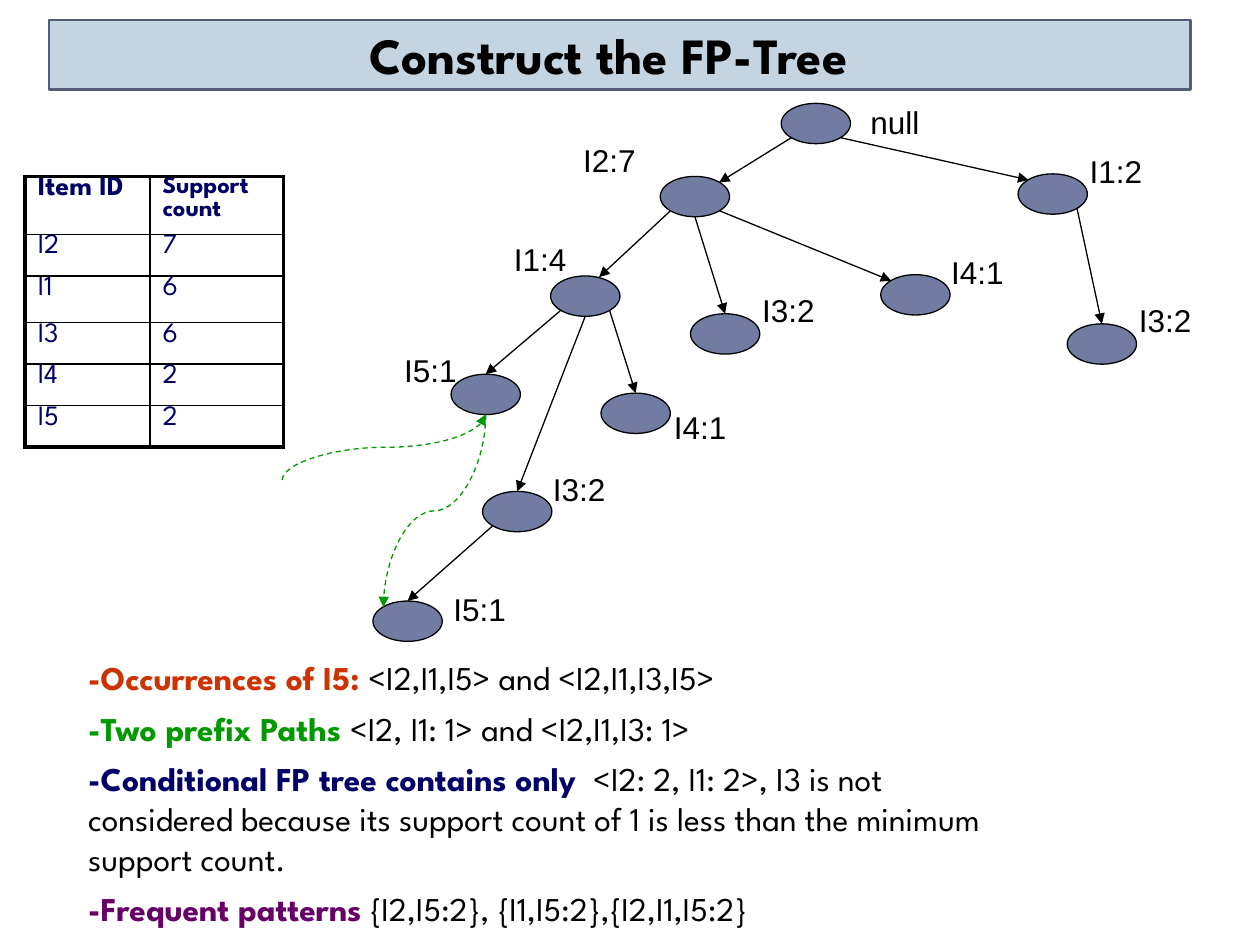
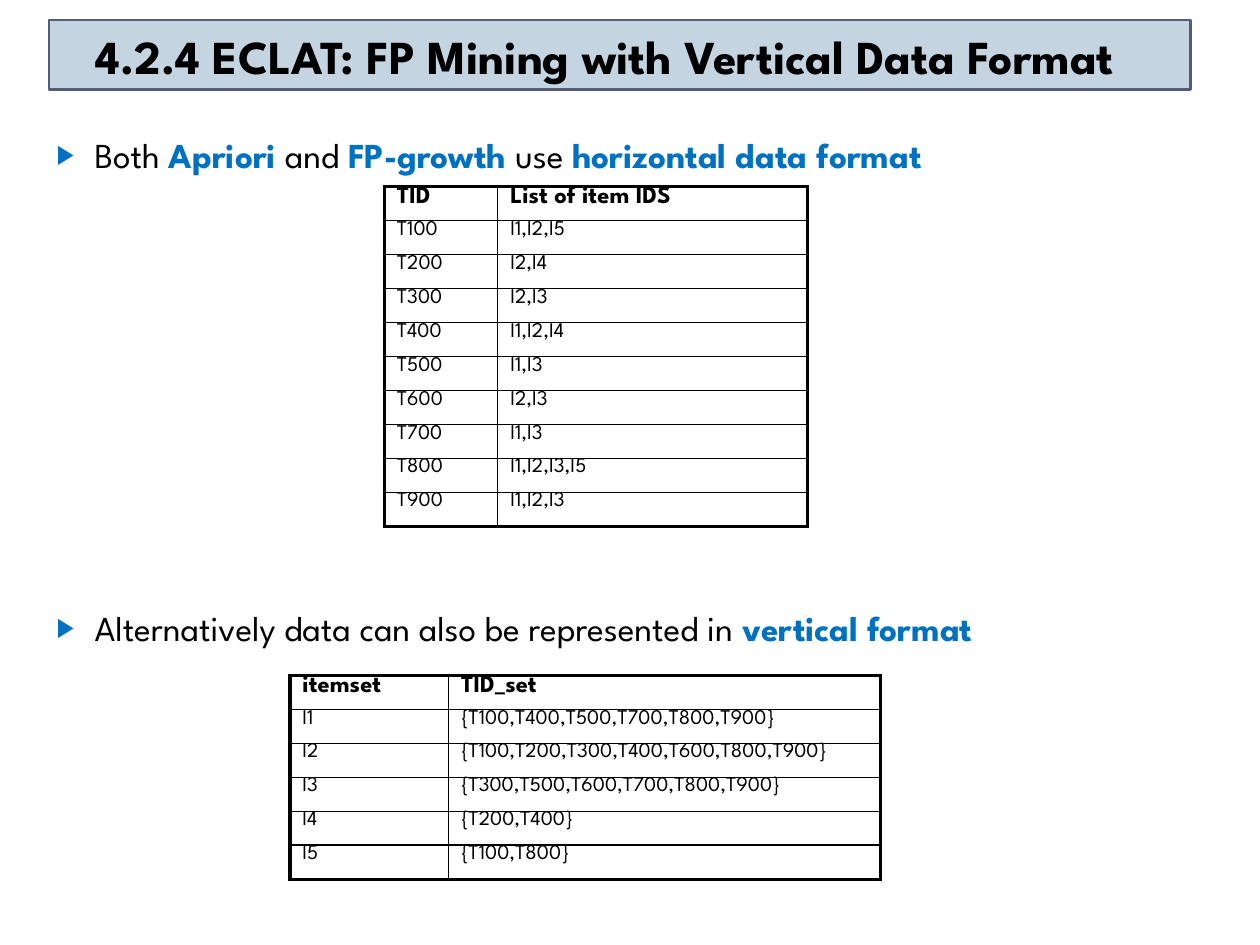
from lxml.etree import SubElement
from pptx import Presentation
from pptx.dml.color import RGBColor
from pptx.enum.dml import MSO_LINE
from pptx.enum.shapes import MSO_CONNECTOR, MSO_SHAPE
from pptx.enum.text import MSO_ANCHOR, MSO_AUTO_SIZE, PP_ALIGN
from pptx.oxml.ns import qn
from pptx.util import Inches, Pt

COLORS = {"black": "000000", "band": "C5D4E1", "band line": "545C79", "node": "727CA3",
          "red": "CC3300", "green": "009900", "navy": "000066", "purple": "660066",
          "blue": "0070C0"}
HEADING_FONT, LABEL_FONT = "League Spartan", "Arial"
BAND = (0.39, 0.16, 9.06, 0.55)
NODE_WIDTH, NODE_HEIGHT = 0.55, 0.32

TREE_TITLE = ("Construct the FP-Tree", (0.33, 0.21, 9, 0.51), 29)
FORMAT_TITLE = ("4.2.4 ECLAT: FP Mining with Vertical Data Format", (0.11, 0.17, 9.38, 0.55), 27)

TREE_NOTES = [
    [("-Occurrences of I5: ", "red"), ("<I2,I1,I5> and <I2,I1,I3,I5>", None)],
    [("-Two prefix Paths ", "green"), ("<I2, I1: 1> and <I2,I1,I3: 1>", None)],
    [("-Conditional FP tree contains only ", "navy"),
     (" <I2: 2, I1: 2>, I3 is not considered because its support count of 1 "
      "is less than the minimum support count.", None)],
    [("-Frequent patterns", "purple"), (" {I2,I5:2}, {I1,I5:2},{I2,I1,I5:2}", None)],
]
FORMAT_NOTES = [
    [("Both ", None), ("Apriori", "blue"), (" and ", None), ("FP-growth", "blue"),
     (" use ", None), ("horizontal data format", "blue")],
    [("Alternatively data can also be represented in ", None), ("vertical format", "blue")],
]

SUPPORT_TABLE = {
    "place": (0.2, 1.4), "columns": (0.99, 1.06), "color": "navy",
    "heights": (0.46, 0.33, 0.37, 0.33, 0.33, 0.33), "header sizes": (16, 14), "size": 16,
    "rows": [("Item ID", "Support count"), ("I2", "7"), ("I1", "6"), ("I3", "6"),
             ("I4", "2"), ("I5", "2")]}
HORIZONTAL_TABLE = {
    "place": (3.05, 1.48), "columns": (0.9, 2.46), "color": "black",
    "heights": (0.27,) * 10, "header sizes": (14, 14), "size": 12,
    "rows": [("TID", "List of item IDS"), ("T100", "I1,I2,I5"), ("T200", "I2,I4"),
             ("T300", "I2,I3"), ("T400", "I1,I2,I4"), ("T500", "I1,I3"), ("T600", "I2,I3"),
             ("T700", "I1,I3"), ("T800", "I1,I2,I3,I5"), ("T900", "I1,I2,I3")]}
VERTICAL_TABLE = {
    "place": (2.3, 5.36), "columns": (1.26, 3.43), "color": "black",
    "heights": (0.27,) * 6, "header sizes": (14, 14), "size": 12,
    "rows": [("itemset", "TID_set"), ("I1", "{T100,T400,T500,T700,T800,T900}"),
             ("I2", "{T100,T200,T300,T400,T600,T800,T900}"),
             ("I3", "{T300,T500,T600,T700,T800,T900}"),
             ("I4", "{T200,T400}"), ("I5", "{T100,T800}")]}

NODES = {
    "root": ((6.2, 0.82), "null", (6.81, 0.77)),
    "I2": ((5.24, 1.4), "I2:7", (4.53, 1.07)),
    "I2 I1": ((4.37, 2.19), "I1:4", (3.98, 1.86)),
    "I2 I1 I5": ((3.58, 2.97), "I5:1", (3.11, 2.74)),
    "I2 I4": ((6.99, 2.18), "I4:1", (7.45, 1.96)),
    "I2 I3": ((5.48, 2.49), "I3:2", (5.95, 2.26)),
    "I2 I1 I4": ((4.77, 3.12), "I4:1", (5.25, 3.19)),
    "I1": ((8.08, 1.38), "I1:2", (8.55, 1.16)),
    "I1 I3": ((8.47, 2.57), "I3:2", (8.94, 2.34)),
    "I2 I1 I3": ((3.83, 3.9), "I3:2", (4.29, 3.68)),
    "I2 I1 I3 I5": ((2.96, 4.77), "I5:1", (3.5, 4.63)),
}
SITES = {"top": (0.5, 0), "top inner right": (0.7, 0.03), "top right": (0.85, 0.15),
         "top left": (0.15, 0.15), "bottom": (0.5, 1), "bottom left": (0.15, 0.85),
         "bottom right": (0.85, 0.85)}
EDGES = [
    ("root", "bottom left", "I2", "top right"),
    ("root", "bottom right", "I1", "top left"),
    ("I2", "bottom left", "I2 I1", "top inner right"),
    ("I2", "bottom", "I2 I3", "top"),
    ("I2", "bottom right", "I2 I4", "top left"),
    ("I1", "bottom right", "I1 I3", "top"),
    ("I2 I1", "bottom left", "I2 I1 I5", "top"),
    ("I2 I1", "bottom", "I2 I1 I3", "top"),
    ("I2 I1", "bottom right", "I2 I1 I4", "top"),
    ("I2 I1 I3", "bottom left", "I2 I1 I3 I5", "top"),
]
HEADER_LINK_START = (2.24, 3.81)


def inches(values):
    return [Inches(value) for value in values]


def color(name):
    return RGBColor.from_string(COLORS[name])


def apply_format(target, values):
    for name, value in values.items():
        setattr(target, name, value)


def add_run(paragraph, text, size, color_name="black", bold=False, font=HEADING_FONT):
    run = paragraph.add_run()
    run.text = text
    apply_format(run.font, {"name": font, "size": Pt(size), "bold": bold})
    run.font.color.rgb = color(color_name)


def style_shape(shape, fill, line, width):
    shape.shadow.inherit = False
    shape.fill.solid()
    shape.fill.fore_color.rgb = color(fill)
    shape.line.color.rgb = color(line)
    shape.line.width = Pt(width)


def place(shape, box):
    apply_format(shape, dict(zip(("left", "top", "width", "height"), inches(box))))


def add_band(layout, slide):
    band = slide.shapes.add_shape(MSO_SHAPE.RECTANGLE, *inches(BAND))
    style_shape(band, "band", "band line", 1.5)
    layout.shapes._spTree.insert(2, band._element)


def fill_title(slide, text, box, size):
    title = slide.shapes.title
    place(title, box)
    apply_format(title.text_frame, {"vertical_anchor": MSO_ANCHOR.BOTTOM, "word_wrap": True,
                                    "auto_size": MSO_AUTO_SIZE.NONE})
    paragraph = title.text_frame.paragraphs[0]
    paragraph.alignment = PP_ALIGN.CENTER
    add_run(paragraph, text, size, bold=True)


def fill_body(slide, notes, box, size, margin, gaps, bulleted):
    body = slide.placeholders[1]
    place(body, box)
    frame = body.text_frame
    apply_format(frame, {"vertical_anchor": MSO_ANCHOR.TOP, "word_wrap": True,
                         "auto_size": MSO_AUTO_SIZE.NONE})
    for index, (pieces, gap) in enumerate(zip(notes, gaps)):
        paragraph = frame.add_paragraph() if index else frame.paragraphs[0]
        apply_format(paragraph, {"space_before": Pt(gap), "space_after": Pt(0)})
        properties = paragraph._p.get_or_add_pPr()
        properties.set("marL", str(Inches(margin)))
        properties.set("indent", str(-Inches(margin) if bulleted else 0))
        if bulleted:
            bullet_color = SubElement(properties, qn("a:buClr"))
            SubElement(bullet_color, qn("a:srgbClr"), val=COLORS["blue"])
            SubElement(properties, qn("a:buSzPct"), val="76000")
            SubElement(properties, qn("a:buChar"), char="▶")
        else:
            SubElement(properties, qn("a:buNone"))
        for text, accent in pieces:
            add_run(paragraph, text, size, accent or "black", bool(accent))


def set_borders(cell, outer_sides):
    properties = cell._tc.get_or_add_tcPr()
    for index, side in enumerate(("lnL", "lnR", "lnT", "lnB")):
        width = Pt(2.25 if side in outer_sides else 1)
        border = SubElement(properties, qn("a:" + side), w=str(width))
        fill = SubElement(border, qn("a:solidFill"))
        SubElement(fill, qn("a:srgbClr"), val=COLORS["black"])
        properties.insert(index, border)


def add_data_table(slide, data):
    rows, columns, heights = data["rows"], data["columns"], data["heights"]
    box = (*data["place"], sum(columns), sum(heights))
    table = slide.shapes.add_table(len(rows), len(columns), *inches(box)).table
    apply_format(table, {"first_row": False, "horz_banding": False})
    for column, width in zip(table.columns, columns):
        column.width = Inches(width)
    for row, height in zip(table.rows, heights):
        row.height = Inches(height)
    for row_index, values in enumerate(rows):
        for column_index, text in enumerate(values):
            cell = table.cell(row_index, column_index)
            apply_format(cell, {"margin_top": 0, "margin_bottom": 0})
            cell.fill.background()
            edges = {"lnL": column_index == 0, "lnR": column_index == len(columns) - 1,
                     "lnT": row_index == 0, "lnB": row_index == len(rows) - 1}
            set_borders(cell, [side for side, outer in edges.items() if outer])
            paragraph = cell.text_frame.paragraphs[0]
            paragraph.space_before = Pt(6)
            header = row_index == 0
            size = data["header sizes"][column_index] if header else data["size"]
            add_run(paragraph, text, size, data["color"], header)


def site_point(node, site):
    (left, top), (across, down) = NODES[node][0], SITES[site]
    return left + across * NODE_WIDTH, top + down * NODE_HEIGHT


def add_arrow(slide, kind, start, end, color_name, dash=None):
    connector = slide.shapes.add_connector(kind, *inches((*start, *end)))
    connector.line.color.rgb = color(color_name)
    apply_format(connector.line, {"width": Pt(0.75), "dash_style": dash})
    SubElement(connector.line._get_or_add_ln(), qn("a:tailEnd"), type="triangle")
    SubElement(connector._element.spPr, qn("a:effectLst"))
    return connector


def add_node_link(slide, start, end):
    """Draw a curve that leaves and arrives vertically, as a quarter-turned connector."""
    (x1, y1), (x2, y2) = start, end
    middle_x, middle_y = (x1 + x2) / 2, (y1 + y2) / 2
    half_x, half_y = (x2 - x1) / 2, (y2 - y1) / 2
    connector = add_arrow(slide, MSO_CONNECTOR.CURVE, (middle_x - half_y, middle_y + half_x),
                          (middle_x + half_y, middle_y - half_x), "green", MSO_LINE.DASH)
    connector._element.spPr.find(qn("a:xfrm")).set("rot", "5400000")


def add_tree(slide):
    for corner, text, label_corner in NODES.values():
        node = slide.shapes.add_shape(MSO_SHAPE.OVAL, *inches((*corner, NODE_WIDTH, NODE_HEIGHT)))
        style_shape(node, "node", "black", 0.75)
        label = slide.shapes.add_textbox(*inches((*label_corner, 0.62, 0.4)))
        apply_format(label.text_frame, {"word_wrap": False,
                                        "auto_size": MSO_AUTO_SIZE.SHAPE_TO_FIT_TEXT})
        add_run(label.text_frame.paragraphs[0], text, 18, font=LABEL_FONT)
    for parent, leave, child, arrive in EDGES:
        add_arrow(slide, MSO_CONNECTOR.STRAIGHT, site_point(parent, leave),
                  site_point(child, arrive), "black")
    first_leaf = site_point("I2 I1 I5", "bottom")
    add_node_link(slide, HEADER_LINK_START, first_leaf)
    add_node_link(slide, first_leaf, site_point("I2 I1 I3 I5", "top left"))


presentation = Presentation()
apply_format(presentation, {"slide_width": Inches(10), "slide_height": Inches(7.5)})
layout = presentation.slide_layouts[1]

tree_slide = presentation.slides.add_slide(layout)
add_band(layout, tree_slide)
fill_title(tree_slide, *TREE_TITLE)
fill_body(tree_slide, TREE_NOTES, (0.18, 5.17, 8.03, 2.05), 19, 0.42, (6,) * 4, False)
add_data_table(tree_slide, SUPPORT_TABLE)
add_tree(tree_slide)

format_slide = presentation.slides.add_slide(layout)
fill_title(format_slide, *FORMAT_TITLE)
fill_body(format_slide, FORMAT_NOTES, (0.35, 1.01, 9.34, 6.49), 20, 0.3, (6, 246), True)
add_data_table(format_slide, HORIZONTAL_TABLE)
add_data_table(format_slide, VERTICAL_TABLE)

presentation.save("out.pptx")
